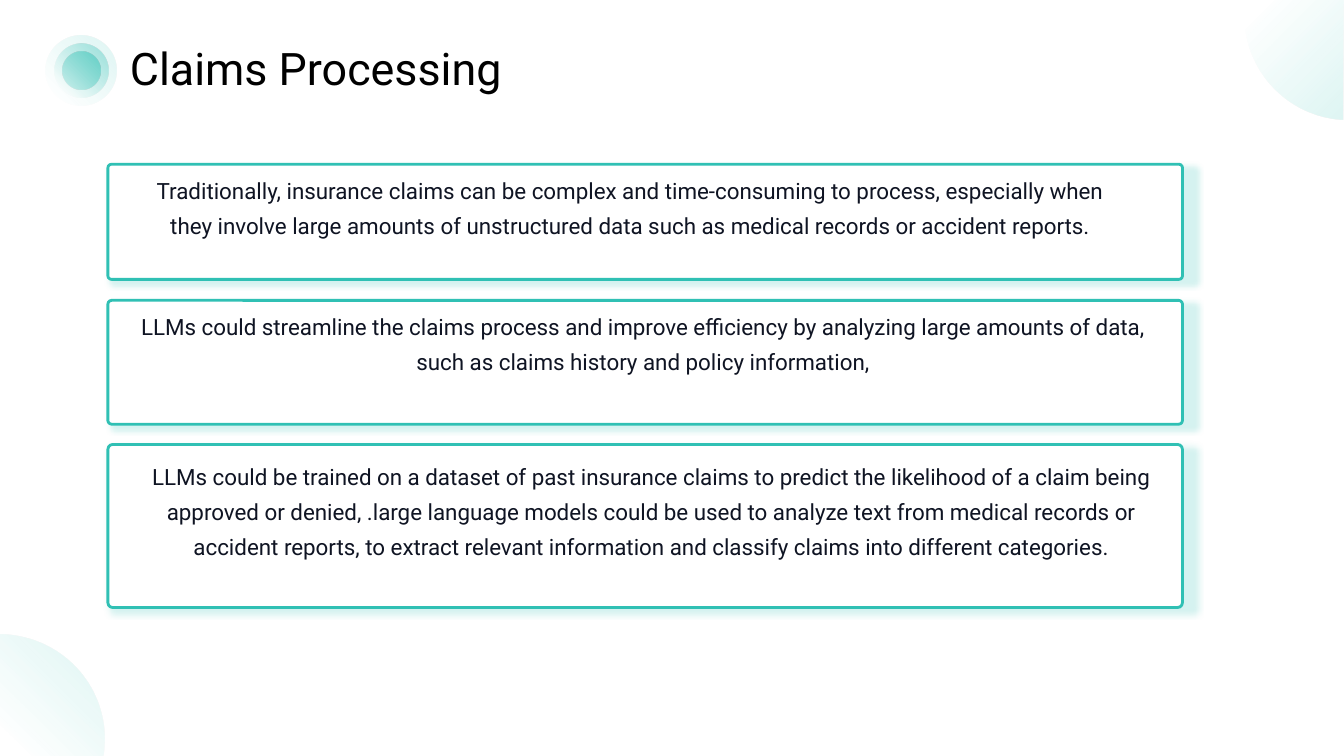
from math import cos, radians, sin

from lxml import etree
from pptx import Presentation
from pptx.dml.color import RGBColor
from pptx.enum.shapes import MSO_SHAPE as Preset
from pptx.enum.text import MSO_ANCHOR as Anchor, MSO_AUTO_SIZE as AutoSize, PP_ALIGN as Align
from pptx.oxml import parse_xml
from pptx.oxml.ns import nsdecls, qn
from pptx.util import Cm, Pt

COLORS = {"teal": "30C0B4", "ink": "0F1423", "title": "000000", "card": "FFFFFF"}
FONT = "Roboto"
WIDTH, HEIGHT = 33.87, 19.05
TITLE_ONLY = 5

# Each card: top and height, then the text's left offset, top offset and width (cm)
CARDS = [
    ((4.14, 2.9), (0.51, 0, 25.3),
     "Traditionally, insurance claims can be complex and time-consuming to process, "
     "especially when they involve large amounts of unstructured data such as medical "
     "records or accident reports."),
    ((7.57, 3.12), (0.3, 0, 26.37),
     "LLMs could streamline the claims process and improve efficiency by analyzing large "
     "amounts of data, such as claims history and policy information,"),
    ((11.2, 4.11), (0.51, 0.15, 26.37),
     "LLMs could be trained on a dataset of past insurance claims to predict the likelihood "
     "of a claim being approved or denied, .large language models could be used to analyze "
     "text from medical records or accident reports, to extract relevant information and "
     "classify claims into different categories."),
]
CARD_LEFT, CARD_WIDTH = 2.72, 27.08


def color(name):
    return RGBColor.from_string(COLORS[name])


def fade(shape, start_alpha, end_alpha=0, angle=135):
    """Fill with a teal gradient whose opacity (percent) falls along the angle."""
    shape.shadow.inherit = False
    shape.line.fill.background()
    shape.fill.gradient()
    gradient = shape.fill._xPr.find(qn("a:gradFill"))
    stops = "".join(
        f'<a:gs pos="{position * 1000}"><a:srgbClr val="{COLORS["teal"]}">'
        f'<a:alpha val="{alpha * 1000}"/></a:srgbClr></a:gs>'
        for position, alpha in ((0, start_alpha), (87, end_alpha)))
    gradient.getparent().replace(gradient, parse_xml(
        f'<a:gradFill {nsdecls("a")} rotWithShape="1"><a:gsLst>{stops}</a:gsLst>'
        f'<a:lin ang="{angle * 60000}" scaled="0"/></a:gradFill>'))


def write(frame, text, ink, size, **paragraph_format):
    frame.word_wrap = True
    frame.auto_size = AutoSize.NONE
    frame.vertical_anchor = Anchor.TOP
    para = frame.paragraphs[0]
    for name, value in paragraph_format.items():
        setattr(para, name, value)
    span = para.add_run()
    span.text = text
    for name, value in {"name": FONT, "size": Pt(size), "bold": False}.items():
        setattr(span.font, name, value)
    span.font.color.rgb = color(ink)


def add_bullet(page, center_x, center_y):
    for diameter, start, end in ((1.78, 16, 0), (1.35, 42, 0), (0.97, 54, 24)):
        corner = (Cm(center - diameter / 2) for center in (center_x, center_y))
        ring = page.shapes.add_shape(Preset.OVAL, *corner, Cm(diameter), Cm(diameter))
        fade(ring, start, end)


def add_corner(page, center, first, last, corner, angle):
    """Draw the part of a disc between two bearings, closed at the page corner."""
    radius, steps = 2.62, 48
    points = []
    for step in range(steps + 1):
        bearing = radians(first + (last - first) * step / steps)
        x = center[0] + radius * cos(bearing)
        y = center[1] + radius * sin(bearing)
        points.append((Cm(min(max(x, 0), WIDTH)), Cm(min(max(y, 0), HEIGHT))))
    points.append(tuple(Cm(value) for value in corner))
    outline = page.shapes.build_freeform(*points[0])
    outline.add_line_segments(points[1:], close=True)
    fade(outline.convert_to_shape(), 16, angle=angle)


def add_title(page, left, top, width, height):
    title = page.shapes.title
    for name, value in dict(left=left, top=top, width=width, height=height).items():
        setattr(title, name, Cm(value))
    write(title.text_frame, "Claims Processing", "title", 32, alignment=Align.LEFT)


def add_shadow(shape):
    effects = shape._element.spPr.find(qn("a:effectLst"))
    shadow = etree.SubElement(effects, qn("a:outerShdw"), {
        "blurRad": str(Pt(4)), "dist": str(Pt(3)), "dir": str(45 * 60000),
        "sx": "101000", "sy": "101000", "algn": "tl", "rotWithShape": "0"})
    tint = etree.SubElement(shadow, qn("a:srgbClr"), val=COLORS["teal"])
    etree.SubElement(tint, qn("a:alpha"), val="20000")


def add_card(page, top, height, text_area, text):
    card = page.shapes.add_shape(
        Preset.ROUNDED_RECTANGLE, Cm(CARD_LEFT), Cm(top), Cm(CARD_WIDTH), Cm(height))
    card.adjustments[0] = 0.03
    card.fill.solid()
    card.fill.fore_color.rgb = color("card")
    card.line.color.rgb = color("teal")
    card.line.width = Pt(2)
    card.shadow.inherit = False
    add_shadow(card)
    inset_x, inset_y, width = text_area
    box = page.shapes.add_textbox(
        Cm(CARD_LEFT + inset_x), Cm(top + inset_y), Cm(width), Cm(height - inset_y))
    write(box.text_frame, text, "ink", 16, alignment=Align.CENTER, line_spacing=1.3)


def main():
    deck = Presentation()
    deck.slide_width, deck.slide_height = Cm(WIDTH), Cm(HEIGHT)
    page = deck.slides.add_slide(deck.slide_layouts[TITLE_ONLY])
    add_bullet(page, 2.05, 1.78)
    add_corner(page, (33.99, 0.4), 189, 93, (WIDTH, 0), 225)
    add_corner(page, (0, 18.62), -90, 10, (0, HEIGHT), 135)
    add_title(page, 3.02, 0.89, 14.53, 1.63)
    for (top, height), text_area, text in CARDS:
        add_card(page, top, height, text_area, text)
    deck.save("out.pptx")


if __name__ == "__main__":
    main()
